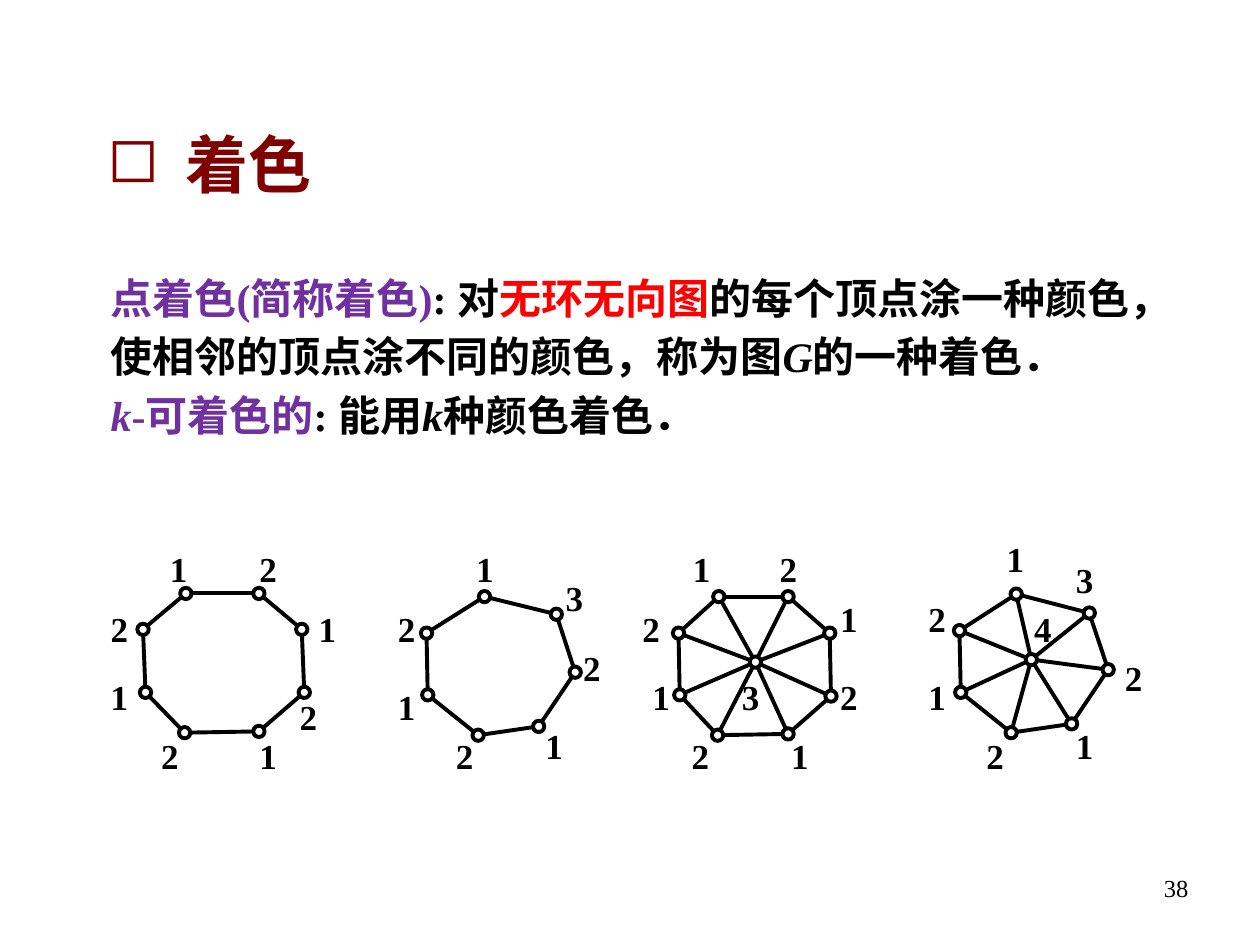
from dataclasses import dataclass
from math import hypot

from lxml.etree import SubElement
from pptx import Presentation
from pptx.dml.color import RGBColor
from pptx.enum.shapes import MSO_CONNECTOR, MSO_SHAPE
from pptx.enum.text import MSO_ANCHOR, PP_ALIGN
from pptx.oxml.ns import qn
from pptx.util import Inches, Pt


@dataclass(frozen=True)
class Theme:
    font: str = "Times New Roman"
    ink: str = "000000"
    paper: str = "FFFFFF"
    heading: str = "800000"
    term: str = "7030A0"
    alert: str = "FF0000"
    title_size: float = 36
    body_size: float = 24
    label_size: float = 20
    number_size: float = 14
    stroke: float = 2.25


THEME = Theme()
COLUMNS, ROWS = 100, 75
SLIDE_WIDTH, SLIDE_HEIGHT = Inches(10), Inches(7.5)
RADIUS = 0.45
LABEL_WIDTH, LABEL_HEIGHT = 4.6, 4.7
GRAPH_TOP = 42

EVEN_CYCLE = [
    (6.95, 5.1, "1", 4.7, 1), (12.75, 5.1, "2", 11.8, 1),
    (16.15, 7.95, "1", 16.5, 5.7), (16.35, 12.95, "2", 15, 12.7),
    (12.75, 16.05, "1", 11.8, 15.8), (6.85, 16.15, "2", 4, 15.8),
    (3.75, 12.95, "1", 0, 11.1), (3.55, 7.95, "2", 0, 5.7),
]
ODD_CYCLE = [
    (7.85, 5.35, "1", 6.2, 1), (13.55, 6.75, "3", 13.3, 3.3),
    (15.05, 11.35, "2", 14.7, 8.8), (12.15, 15.65, "1", 11.7, 15),
    (7.35, 16.35, "2", 4.6, 15.8), (3.35, 13.15, "1", 0, 11.9),
    (3.25, 8.25, "2", 0, 5.7),
]
EVEN_WHEEL = [
    (7.05, 5.35, "1", 4, 1), (12.55, 5.35, "2", 10.9, 1),
    (15.85, 8.25, "1", 15.7, 4.9), (15.95, 13.25, "2", 15.7, 11.1),
    (12.55, 16.25, "1", 11.8, 15.8), (6.95, 16.35, "2", 3.9, 15.8),
    (3.95, 13.15, "1", 0.8, 11.1), (3.85, 8.25, "2", 0, 5.7),
]
ODD_WHEEL = [
    (7.95, 5.15, "1", 6.2, 0.2), (13.75, 6.65, "3", 11.7, 1.8),
    (15.25, 11.15, "2", 15.6, 9.6), (12.35, 15.45, "1", 11.7, 15),
    (7.55, 16.15, "2", 4.6, 15.8), (3.55, 12.95, "1", 0, 11.1),
    (3.45, 8.05, "2", 0, 4.9),
]
GRAPHS = [
    (7.8, EVEN_CYCLE, None),
    (30.6, ODD_CYCLE, None),
    (50, EVEN_WHEEL, (9.95, 10.55, "3", 7.9, 11.1)),
    (72.7, ODD_WHEEL, (9.15, 10.35, "4", 8.4, 5.7)),
]
DEFINITIONS = [
    [("点着色(简称着色)", {"color": THEME.term}), (": 对", {}),
     ("无环无向图", {"color": THEME.alert}), ("的每个顶点涂一种颜色，", {})],
    [("使相邻的顶点涂不同的颜色，称为图", {}), ("G", {"italic": True}),
     ("的一种着色．", {})],
    [("k", {"color": THEME.term, "italic": True}),
     ("-可着色的", {"color": THEME.term}), (": 能用", {}),
     ("k", {"italic": True}), ("种颜色着色．", {})],
]


def grid(left, top, width, height):
    column, row = SLIDE_WIDTH / COLUMNS, SLIDE_HEIGHT / ROWS
    return tuple(round(length) for length in
                 (left * column, top * row, width * column, height * row))


def write_text(frame, paragraphs, size, color=THEME.ink, bold=True,
               align=PP_ALIGN.LEFT, anchor=MSO_ANCHOR.TOP, hanging=0,
               bullet=None, gap=0):
    frame.word_wrap = True
    frame.vertical_anchor = anchor
    for index, runs in enumerate(paragraphs):
        paragraph = frame.add_paragraph() if index else frame.paragraphs[0]
        paragraph.alignment = align
        if index and gap:
            paragraph.space_before = Pt(gap)
        properties = paragraph._p.get_or_add_pPr()
        if hanging:
            properties.set("marL", str(Inches(hanging)))
            properties.set("indent", str(-Inches(hanging)))
        if bullet:
            SubElement(properties, qn("a:buChar")).set("char", bullet)
        for text, style in runs:
            run = paragraph.add_run()
            run.text = text
            run.font.name = THEME.font
            run.font.size = Pt(size)
            run.font.bold = bold
            run.font.italic = style.get("italic", False)
            run.font.color.rgb = RGBColor.from_string(style.get("color", color))


def add_text(shapes, box, paragraphs, **style):
    write_text(shapes.add_textbox(*grid(*box)).text_frame, paragraphs, **style)


def add_title(slide, box):
    title = slide.shapes.title
    title.left, title.top, title.width, title.height = grid(*box)
    write_text(title.text_frame, [[("着色", {})]], size=THEME.title_size,
               color=THEME.heading, anchor=MSO_ANCHOR.MIDDLE,
               hanging=0.62, bullet="◻")


def add_definitions(slide, box):
    add_text(slide.shapes, box, DEFINITIONS, size=THEME.body_size,
             hanging=0.38, gap=THEME.body_size * 0.2)


def add_page_number(slide, box):
    add_text(slide.shapes, box, [[("38", {})]], size=THEME.number_size,
             bold=False, align=PP_ALIGN.RIGHT)


def add_edge(shapes, start, end):
    across, down = end[0] - start[0], end[1] - start[1]
    length = hypot(across, down)
    trim_x, trim_y = RADIUS * across / length, RADIUS * down / length
    points = grid(start[0] + trim_x, start[1] + trim_y,
                  end[0] - trim_x, end[1] - trim_y)
    edge = shapes.add_connector(MSO_CONNECTOR.STRAIGHT, *points)
    edge.line.color.rgb = RGBColor.from_string(THEME.ink)
    edge.line.width = Pt(THEME.stroke)
    SubElement(edge._element.spPr, qn("a:effectLst"))


def add_vertex(shapes, center):
    vertex = shapes.add_shape(MSO_SHAPE.OVAL, *grid(
        center[0] - RADIUS, center[1] - RADIUS, 2 * RADIUS, 2 * RADIUS))
    vertex.shadow.inherit = False
    vertex.fill.solid()
    vertex.fill.fore_color.rgb = RGBColor.from_string(THEME.paper)
    vertex.line.color.rgb = RGBColor.from_string(THEME.ink)
    vertex.line.width = Pt(THEME.stroke)


def add_graph(slide, left, top, rim, hub=None):
    shapes = slide.shapes.add_group_shape().shapes
    vertices = rim + ([hub] if hub else [])
    centers = [(left + x, top + y) for x, y, *_ in vertices]
    ring = centers[:len(rim)]
    for center in centers:
        add_vertex(shapes, center)
    for start, end in zip(ring, ring[1:] + ring[:1]):
        add_edge(shapes, start, end)
    if hub:
        for center in ring:
            add_edge(shapes, center, centers[-1])
    for _, _, label, x, y in vertices:
        add_text(shapes, (left + x, top + y, LABEL_WIDTH, LABEL_HEIGHT),
                 [[(label, {})]], size=THEME.label_size, align=PP_ALIGN.JUSTIFY)


def main():
    presentation = Presentation()
    presentation.slide_width, presentation.slide_height = SLIDE_WIDTH, SLIDE_HEIGHT
    slide = presentation.slides.add_slide(
        presentation.slide_layouts.get_by_name("Title Only"))
    add_page_number(slide, (74.5, 68.8, 20.8, 5))
    add_title(slide, (7.5, 6.7, 85, 12.5))
    add_definitions(slide, (7.8, 21.1, 85, 15.6))
    for left, rim, hub in GRAPHS:
        add_graph(slide, left, GRAPH_TOP, rim, hub)
    presentation.save("out.pptx")


if __name__ == "__main__":
    main()
